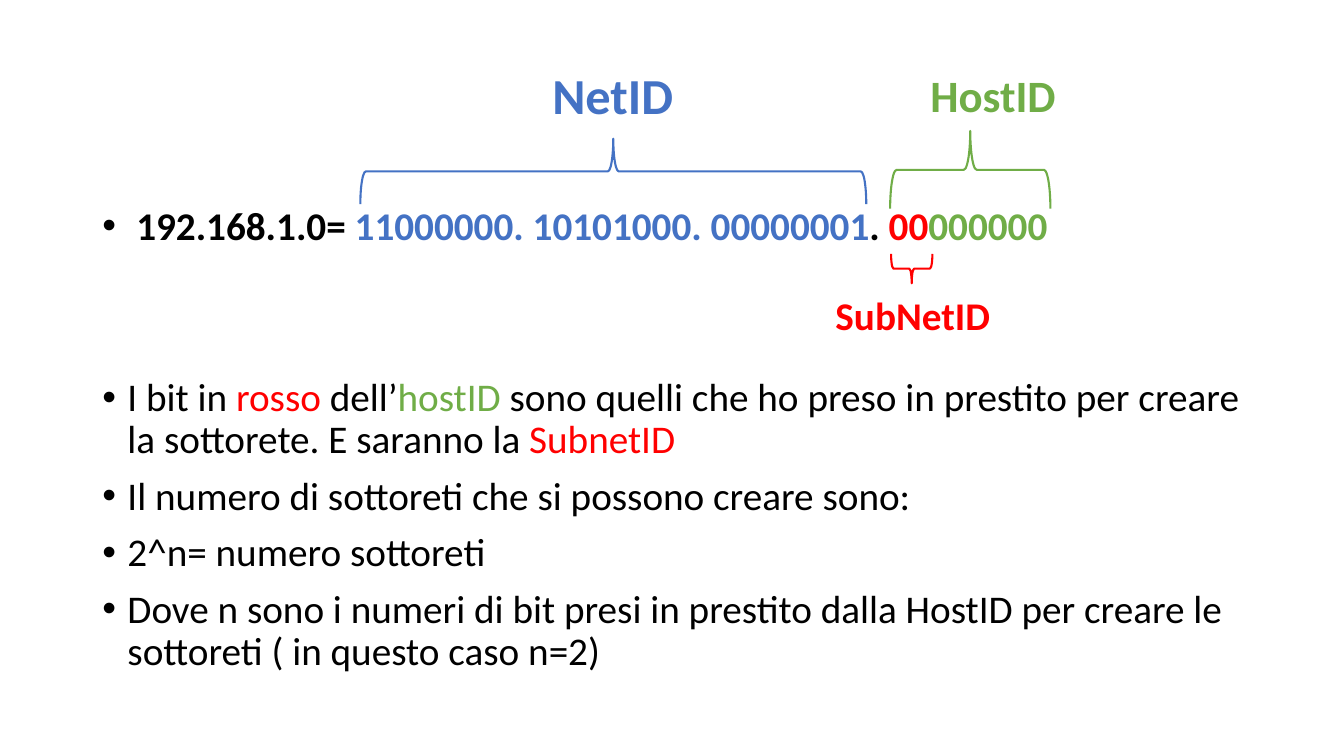
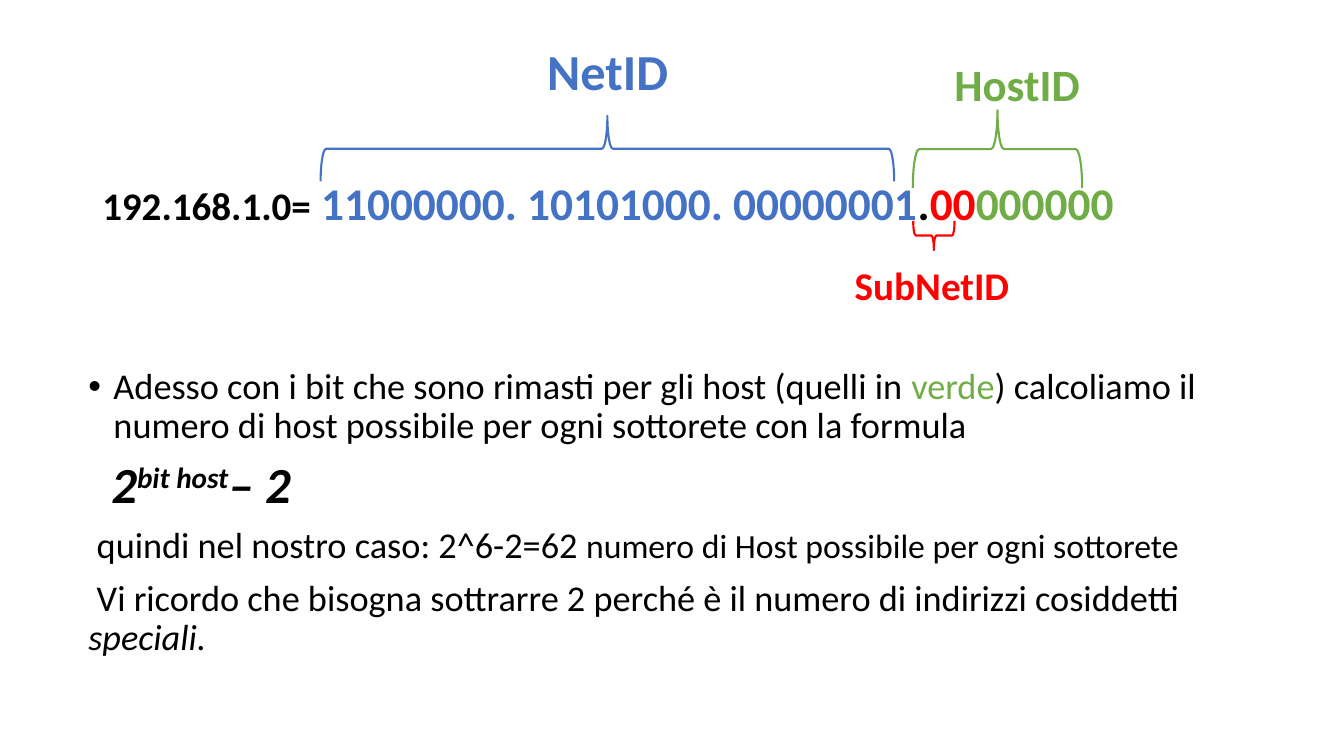
from lxml.etree import SubElement
from pptx import Presentation
from pptx.dml.color import RGBColor
from pptx.enum.shapes import MSO_SHAPE as Preset
from pptx.oxml.ns import qn
from pptx.util import Pt

FONT = "Calibri"
BLACK, BLUE, GREEN, RED = "000000", "4472C4", "70AD47", "FF0000"
BULLET_INDENT = 18

# colour, label size, label width and height, brace preset, brace height
FIELDS = {
    "NetID": (BLUE, 36, 153, 51, Preset.RIGHT_BRACE, 46.8),
    "HostID": (GREEN, 32, 110, 46, Preset.RIGHT_BRACE, 55.4),
    "SubNetID": (RED, 28, 132, 41, Preset.LEFT_BRACE, 20.9),
}


def rgb(hex_colour):
    return RGBColor.from_string(hex_colour)


def add_run(paragraph, text, size, color=BLACK, superscript=False, **formats):
    run = paragraph.add_run()
    run.text = text
    run.font.color.rgb = rgb(color)
    for name, value in {"name": FONT, "size": Pt(size), **formats}.items():
        setattr(run.font, name, value)
    if superscript:
        run._r.get_or_add_rPr().set("baseline", "30000")


def set_indent(paragraph, margin, first, bullet):
    properties = paragraph._p.get_or_add_pPr()
    properties.set("marL", str(Pt(margin)))
    properties.set("indent", str(Pt(first)))
    if bullet:
        SubElement(properties, qn("a:buFont")).set("typeface", "Arial")
        SubElement(properties, qn("a:buChar")).set("char", "•")


def add_text(slide, box, paragraphs, size, gap=10, spacing=0.9):
    """Each paragraph is (runs, margin, first-line indent, bullet); a run is (text, formats)."""
    frame = slide.shapes.add_textbox(*map(Pt, box)).text_frame
    frame.word_wrap = True
    for index, (runs, margin, first, bullet) in enumerate(paragraphs):
        paragraph = frame.add_paragraph() if index else frame.paragraphs[0]
        paragraph.line_spacing = spacing
        paragraph.space_before = Pt(gap if index else 0)
        set_indent(paragraph, margin, first, bullet)
        for text, formats in runs:
            add_run(paragraph, text, **{"size": size, **formats})


def bulleted(*runs, margin=BULLET_INDENT):
    return runs, margin, -margin, True


def plain(*runs, first=0):
    return runs, 0, first, False


def add_brace(slide, preset, color, left, top, width, height):
    """Turn an upright brace a quarter so that it fills the given box."""
    shift = (width - height) / 2
    brace = slide.shapes.add_shape(
        preset, Pt(left + shift), Pt(top - shift), Pt(height), Pt(width))
    brace.rotation = 270
    brace.shadow.inherit = False
    brace.fill.background()
    brace.line.color.rgb = rgb(color)
    brace.line.width = Pt(1.5)


def address_diagram(slide, box, address, size, places):
    """Places hold brace x, y, width and label x, y, from the corner of the box."""
    left, top = box[:2]
    add_text(slide, box, [address], size)
    for field, (brace_x, brace_y, brace_w, label_x, label_y) in places.items():
        color, label_size, label_w, label_h, preset, brace_h = FIELDS[field]
        add_brace(slide, preset, color, left + brace_x, top + brace_y, brace_w, brace_h)
        label = plain((field, {"color": color, "bold": True}))
        add_text(slide, (left + label_x, top + label_y, label_w, label_h),
                 [label], label_size, spacing=1)


def address_runs(decimal, separator, decimal_size, size):
    parts = [
        (decimal, BLACK, decimal_size),
        (" ", BLACK, size),
        ("11000000. 10101000. 00000001", BLUE, size),
        (separator, BLACK, size),
        ("00", RED, size),
        ("000000", GREEN, size),
    ]
    return [(text, {"color": color, "size": points, "bold": True})
            for text, color, points in parts]


def subnet_slide(slide):
    address_diagram(
        slide, (66, 144, 828, 38),
        bulleted(*address_runs("192.168.1.0=", ". ", 28, 28), margin=24.3), 28,
        {"NetID": (191.4, -45, 361.4, 321.4, -101.5),
         "HostID": (569.8, -50.4, 114.5, 591.4, -99.4),
         "SubNetID": (570.5, 37.4, 29.5, 523.7, 60.5)})
    add_text(slide, (66, 266.3, 828, 220), [
        bulleted(("I bit in ", {}), ("rosso", {"color": RED}), (" dell’", {}),
                 ("hostID", {"color": GREEN}),
                 (" sono quelli che ho preso in prestito per creare la sottorete."
                  " E saranno la ", {}),
                 ("SubnetID", {"color": RED})),
        bulleted(("Il numero di sottoreti che si possono creare sono:", {})),
        bulleted(("2^n= numero sottoreti", {})),
        bulleted(("Dove n sono i numeri di bit presi in prestito dalla HostID per creare"
                  " le sottoreti ( in questo caso n=2)", {})),
    ], 28)


def host_slide(slide):
    address_diagram(
        slide, (66, 126, 828, 43),
        plain(*address_runs("192.168.1.0=", ".", 27.9, 32.4)), 32.4,
        {"NetID": (163, -43.2, 409.7, 317.8, -100.8),
         "HostID": (586, -47.2, 121, 608.6, -89.3),
         "SubNetID": (586.3, 31.7, 29.5, 537.4, 56.9)})
    formula = {"size": 36.1, "bold": True, "italic": True}
    add_text(slide, (56, 259.5, 828, 222), [
        bulleted(("Adesso con i bit che sono rimasti per gli host (quelli in ", {}),
                 ("verde", {"color": GREEN}),
                 (") calcoliamo il numero di host possibile per ogni sottorete"
                  " con la formula", {})),
        plain(("2", formula), ("bit host", {**formula, "superscript": True}),
              ("– 2", formula), first=16.5),
        plain(("quindi nel nostro caso: 2^6-2=62 ", {}),
              ("numero di Host possibile per ogni sottorete", {"size": 24.1}), first=6),
        plain(("Vi ricordo che bisogna sottrarre 2 perché è il numero di indirizzi"
               " cosiddetti ", {}),
              ("speciali.", {"italic": True}), first=6),
    ], 25.9, gap=9.4)


def main():
    deck = Presentation()
    deck.slide_width, deck.slide_height = Pt(960), Pt(540)
    for build in (subnet_slide, host_slide):
        build(deck.slides.add_slide(deck.slide_layouts[6]))
    deck.save("out.pptx")


if __name__ == "__main__":
    main()
